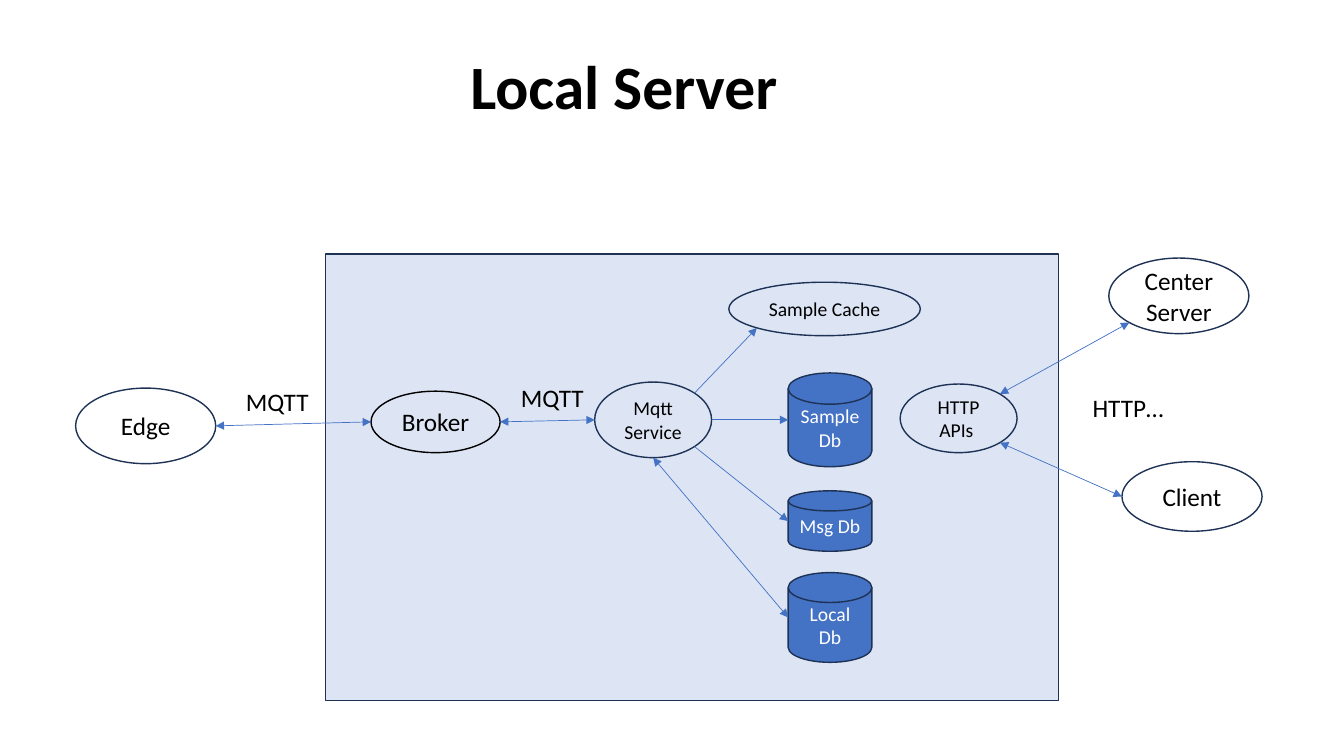
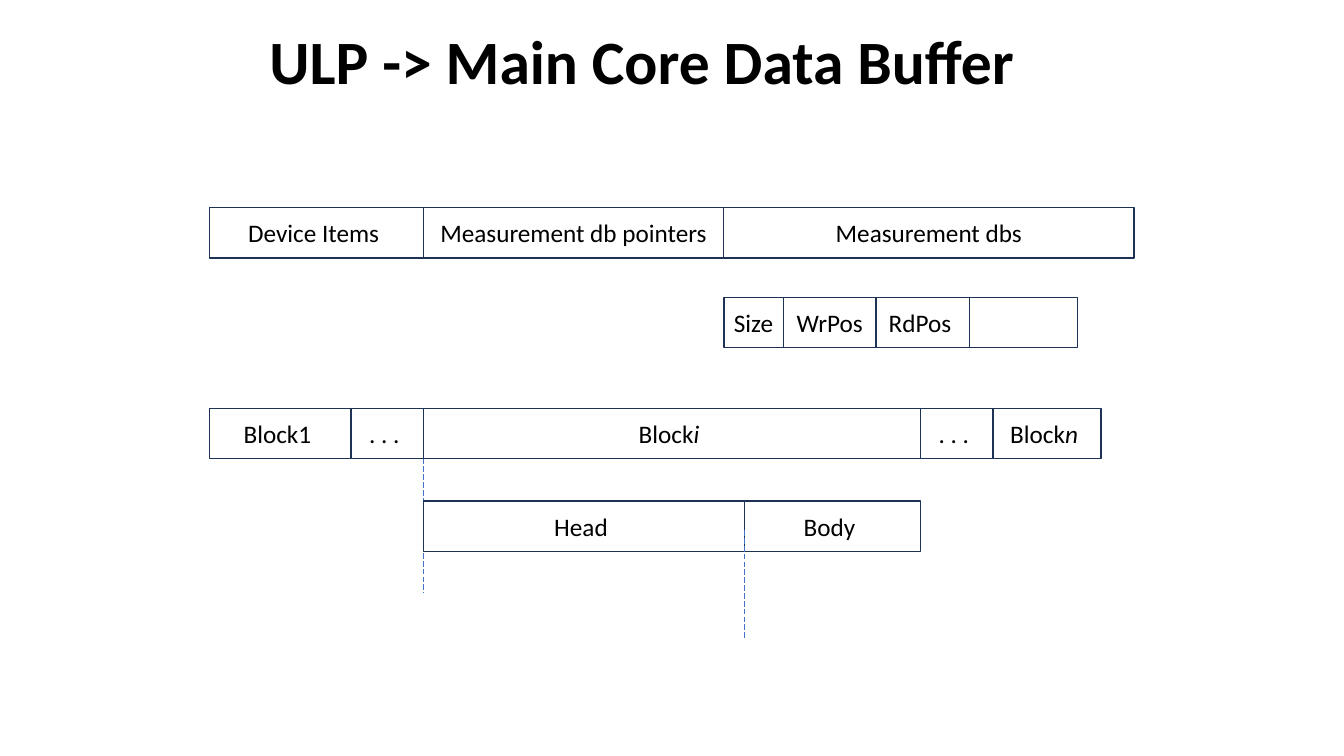
from math import sqrt

from lxml.etree import SubElement
from pptx import Presentation
from pptx.dml.color import RGBColor
from pptx.enum.dml import MSO_LINE
from pptx.enum.shapes import MSO_CONNECTOR, MSO_SHAPE, MSO_SHAPE_TYPE
from pptx.enum.text import MSO_ANCHOR, MSO_AUTO_SIZE, PP_ALIGN
from pptx.oxml.ns import qn
from pptx.util import Pt

rgb = RGBColor.from_string
FONT = "Calibri"
BLUE, NAVY, BLACK, WHITE = "4472C4", "1E3256", "000000", "FFFFFF"


def add_text(shape, text, size=18, color=BLACK, bold=False, italic=False, align=PP_ALIGN.CENTER):
    """Append one formatted run to the first paragraph of the shape."""
    paragraph = shape.text_frame.paragraphs[0]
    paragraph.alignment = align
    run = paragraph.add_run()
    run.text = text
    run.font.name = FONT
    run.font.size = Pt(size)
    run.font.bold = bold
    run.font.italic = italic
    run.font.color.rgb = rgb(color)


def add_line(slide, start, end, arrows=(), dash=None):
    """Draw a thin blue line; arrows may hold headEnd and tailEnd."""
    line = slide.shapes.add_connector(
        MSO_CONNECTOR.STRAIGHT, *[Pt(value) for value in (*start, *end)])
    line.line.color.rgb = rgb(BLUE)
    line.line.width = Pt(0.5)
    if dash:
        line.line.dash_style = dash
    for arrow in arrows:
        SubElement(line.line._get_or_add_ln(), qn(f"a:{arrow}"), type="triangle")
    SubElement(line._element.spPr, qn("a:effectLst"))


presentation = Presentation()
presentation.slide_width = Pt(960)
presentation.slide_height = Pt(540)
title_only = presentation.slide_layouts[5]

# Titles
slides = []
for text, left, top in [("Local Server", 31.7, 11.5),
                        ("ULP -> Main Core Data Buffer ", 49.7, -5.8)]:
    slide = presentation.slides.add_slide(title_only)
    title = slide.shapes.title
    title.left, title.top, title.width, title.height = Pt(left), Pt(top), Pt(828), Pt(104.4)
    title.text_frame.auto_size = MSO_AUTO_SIZE.NONE
    title.text_frame.vertical_anchor = MSO_ANCHOR.MIDDLE
    add_text(title, text, 44, bold=True)
    title.text_frame.paragraphs[0].line_spacing = 0.9
    slides.append(slide)
server_slide, buffer_slide = slides

# Local server: panel and nodes
panel = server_slide.shapes.add_shape(
    MSO_SHAPE.RECTANGLE, Pt(232.6), Pt(181.4), Pt(523.4), Pt(319))
panel.fill.solid()
panel.fill.fore_color.rgb = rgb(BLUE)
panel_color = panel._element.spPr.find(qn("a:solidFill")).find(qn("a:srgbClr"))
SubElement(panel_color, qn("a:alpha"), val="18000")

OVAL, DISK = MSO_SHAPE.OVAL, MSO_SHAPE.FLOWCHART_MAGNETIC_DISK
nodes = {
    "Broker": (OVAL, 18, (265, 279.4, 92.2, 43.9)),
    "HTTP APIs ": (OVAL, 14, (643, 274.3, 83.5, 49)),
    "Client": (OVAL, 18, (801.4, 329.8, 100.1, 49.7)),
    "Edge": (OVAL, 18, (54, 277.2, 100.1, 54)),
    "Center Server": (OVAL, 18, (792, 184.3, 100.1, 54)),
    "Sample Cache": (OVAL, 14, (520.6, 201.6, 136.8, 38.2)),
    "Mqtt Service": (OVAL, 14, (424.8, 272.9, 83.5, 54)),
    "Msg Db": (DISK, 14, (563, 350.6, 59.8, 43.2)),
    "Sample Db": (DISK, 14, (563, 266.4, 59.8, 67)),
    "Local Db": (DISK, 14, (563, 409, 59.8, 64.1)),
}
for text, (kind, size, box) in nodes.items():
    node = server_slide.shapes.add_shape(kind, *[Pt(value) for value in box])
    if kind == DISK:
        node.fill.solid()
        node.fill.fore_color.rgb = rgb(BLUE)
    else:
        node.fill.background()
    add_text(node, text, size, WHITE if kind == DISK else BLACK)

for text, left, top, width in [("MQTT", 365, 269.3, 59.8),
                               ("MQTT", 168.5, 272.2, 59.8),
                               ("HTTP…", 773.3, 276.5, 82)]:
    label = server_slide.shapes.add_textbox(Pt(left), Pt(top), Pt(width), Pt(28.8))
    label.text_frame.word_wrap = True
    add_text(label, text, align=PP_ALIGN.LEFT)

# Local server: arrows between points on the node outlines
DIAGONAL = sqrt(0.5)
sides = {
    "left": (-1, 0), "right": (1, 0), "bottom": (0, 1),
    "upper right": (DIAGONAL, -DIAGONAL), "lower right": (DIAGONAL, DIAGONAL),
    "lower left": (-DIAGONAL, DIAGONAL),
}
ONE_WAY, TWO_WAY = ("tailEnd",), ("headEnd", "tailEnd")
for *link, arrows in [
    ("Edge", "right", "Broker", "left", TWO_WAY),
    ("Broker", "right", "Mqtt Service", "left", TWO_WAY),
    ("HTTP APIs ", "lower right", "Client", "left", TWO_WAY),
    ("Center Server", "lower left", "HTTP APIs ", "upper right", TWO_WAY),
    ("Mqtt Service", "right", "Sample Db", "left", ONE_WAY),
    ("Mqtt Service", "lower right", "Msg Db", "left", ONE_WAY),
    ("Mqtt Service", "upper right", "Sample Cache", "lower left", ONE_WAY),
    ("Mqtt Service", "bottom", "Local Db", "left", TWO_WAY),
]:
    points = []
    for name, side in (link[:2], link[2:]):
        left, top, width, height = nodes[name][2]
        across, down = sides[side]
        points.append((left + width / 2 * (1 + across), top + height / 2 * (1 + down)))
    add_line(server_slide, *points, arrows)

# Data buffer: each row is a top, the cell edges and the cell texts (upright, italic)
add_line(buffer_slide, (302.4, 327.6), (302.4, 423.4), dash=MSO_LINE.LONG_DASH)
ROW_HEIGHT = 36
rows = [
    (148.3, [149.8, 302.4, 517, 810],
     [("Device Items ",), ("Measurement db pointers",), ("Measurement dbs",)]),
    (212.4, [517, 559.5, 625.7, 692.6, 769.7], [("Size",), ("WrPos",), ("RdPos ",), ()]),
    (291.6, [149.8, 250.6, 302.4, 657.4, 709.2, 786.4],
     [("Block1 ",), (". . . ",), ("Block", "i "), (". . . ",), ("Block", "n ")]),
    (357.8, [302.4, 531.7, 657.4], [("Head ",), ("Body ",)]),
]
for top, edges, cells in rows:
    for left, right, texts in zip(edges, edges[1:], cells):
        cell = buffer_slide.shapes.add_shape(
            MSO_SHAPE.RECTANGLE, Pt(left), Pt(top), Pt(right - left), Pt(ROW_HEIGHT))
        cell.fill.background()
        for text, italic in zip(texts, (False, True)):
            add_text(cell, text, italic=italic)
add_line(buffer_slide, (531.7, 378.7), (531.7, 457.2), dash=MSO_LINE.LONG_DASH)

# Outline shared by all boxes
for slide in slides:
    for shape in slide.shapes:
        if shape.shape_type == MSO_SHAPE_TYPE.AUTO_SHAPE:
            shape.shadow.inherit = False
            shape.line.width = Pt(1)
            shape.line.color.rgb = rgb(BLACK if shape.text_frame.text == "Broker" else NAVY)
            shape.text_frame.vertical_anchor = MSO_ANCHOR.MIDDLE

presentation.save("out.pptx")
